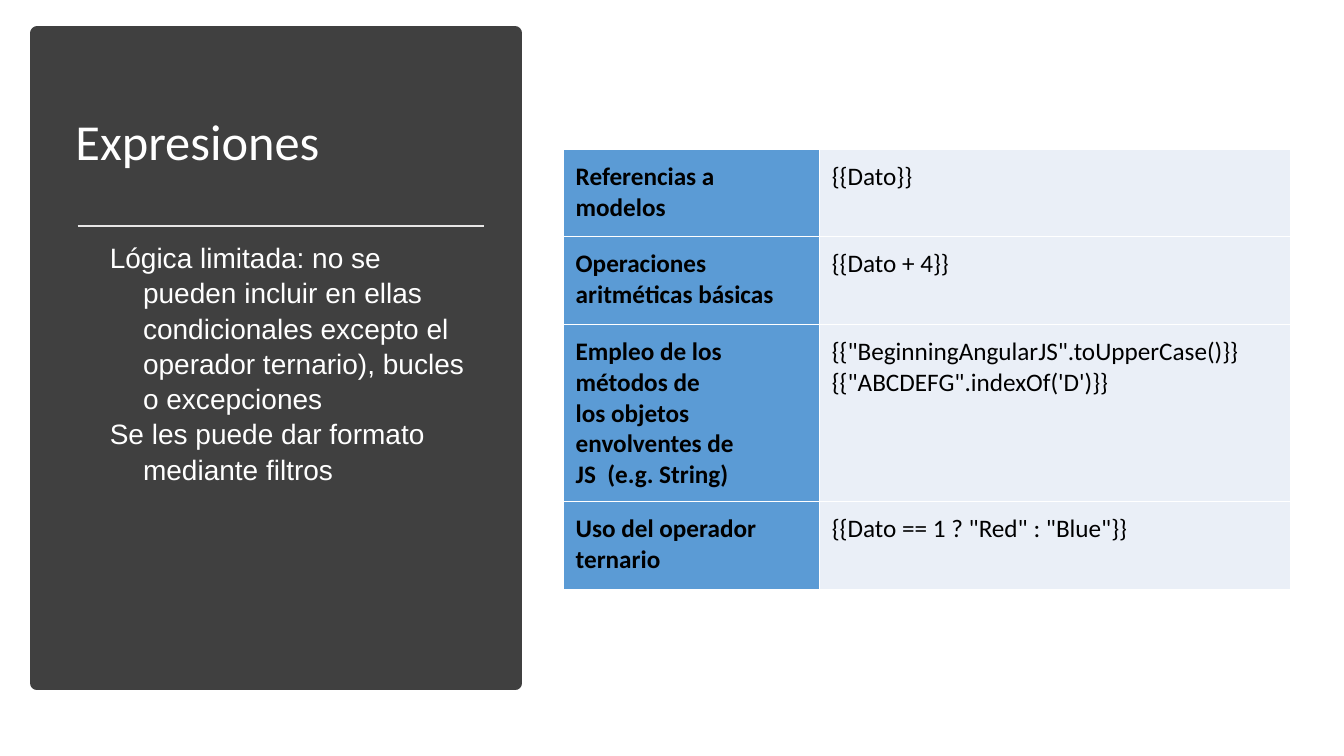
from lxml import etree
from pptx import Presentation
from pptx.dml.color import RGBColor
from pptx.enum.shapes import MSO_CONNECTOR, MSO_SHAPE
from pptx.enum.text import MSO_ANCHOR
from pptx.oxml.ns import qn
from pptx.util import Inches, Pt

RECTANGLE = MSO_SHAPE.RECTANGLE
STRAIGHT = MSO_CONNECTOR.STRAIGHT
TOP, MIDDLE = MSO_ANCHOR.TOP, MSO_ANCHOR.MIDDLE

COLORS = {
    "panel": "404040",
    "rule": "E7E6E6",
    "white": "FFFFFF",
    "black": "000000",
    "label": "5B9BD5",
    "example": "EAEFF7",
}

TITLE = "Expresiones"
POINTS = [
    "Lógica limitada: no se pueden incluir en ellas condicionales excepto "
    "el operador ternario), bucles o excepciones",
    "Se les puede dar formato mediante filtros",
]
EXPRESSIONS = [
    ("Referencias a modelos", "{{Dato}}"),
    ("Operaciones\naritméticas básicas", "{{Dato + 4}}"),
    ("Empleo de los métodos de\nlos objetos envolventes de\nJS  (e.g. String)",
     "{{\"BeginningAngularJS\".toUpperCase()}}\n{{\"ABCDEFG\".indexOf('D')}}"),
    ("Uso del operador ternario", '{{Dato == 1 ? "Red" : "Blue"}}'),
]
COLUMN_WIDTHS = [2.54, 4.67]
ROW_HEIGHTS = [0.87, 0.87, 1.76, 0.87]
CELL_MARGIN = 0.12


def color(name):
    return RGBColor.from_string(COLORS[name])


def set_font(paragraph, name, size, color_name, bold=False):
    font = paragraph.font
    font.name, font.size, font.bold = name, Pt(size), bold
    font.color.rgb = color(color_name)


def add_text_frame(slide, left, top, width, height, anchor):
    box = slide.shapes.add_textbox(Inches(left), Inches(top), Inches(width), Inches(height))
    frame = box.text_frame
    frame.word_wrap = True
    frame.vertical_anchor = anchor
    return frame


def add_rule(slide, left, top, width):
    rule = slide.shapes.add_connector(
        STRAIGHT, Inches(left), Inches(top), Inches(left + width), Inches(top))
    rule.line.color.rgb = color("rule")
    rule.line.width = Pt(1.75)
    etree.SubElement(rule._element.spPr, qn("a:effectLst"))


def add_side_panel(slide, left, top, width, height):
    """Dark panel with the title, a rule and the key points."""
    panel = slide.shapes.add_shape(
        RECTANGLE, Inches(left), Inches(top), Inches(width), Inches(height))
    panel.shadow.inherit = False
    panel.fill.solid()
    panel.fill.fore_color.rgb = color("panel")
    panel.line.color.rgb = color("panel")
    panel.line.width = Pt(10)

    text_left, text_width = left + 0.28, width - 0.56
    title = add_text_frame(slide, text_left, top + 0.37, text_width, 1.47, MIDDLE).paragraphs[0]
    title.text = TITLE
    title.line_spacing = 0.9
    set_font(title, "Calibri", 36, "white")

    add_rule(slide, left + 0.4, top + 1.91, 4.03)

    frame = add_text_frame(slide, text_left, top + 1.99, text_width, 4.13, TOP)
    for index, point in enumerate(POINTS):
        paragraph = frame.paragraphs[0] if index == 0 else frame.add_paragraph()
        paragraph.text = point
        paragraph.line_spacing = 1.05
        properties = paragraph._p.get_or_add_pPr()
        properties.set("marL", str(Inches(0.67)))
        properties.set("indent", str(Inches(-0.33)))
        set_font(paragraph, "Arial", 20, "white")


def add_cell_borders(cell):
    properties = cell._tc.get_or_add_tcPr()
    for index, side in enumerate(("lnL", "lnR", "lnT", "lnB")):
        border = etree.Element(qn(f"a:{side}"), w=str(Pt(1)))
        fill = etree.SubElement(border, qn("a:solidFill"))
        etree.SubElement(fill, qn("a:srgbClr"), val=COLORS["white"])
        properties.insert(index, border)


def fill_cell(cell, text, fill_name, bold):
    cell.margin_left = cell.margin_right = Inches(CELL_MARGIN)
    cell.margin_top = cell.margin_bottom = Inches(CELL_MARGIN)
    cell.fill.solid()
    cell.fill.fore_color.rgb = color(fill_name)
    paragraph = cell.text_frame.paragraphs[0]
    paragraph.text = text
    set_font(paragraph, "Calibri", 18, "black", bold)
    add_cell_borders(cell)


def add_expression_table(slide, left, top):
    table = slide.shapes.add_table(
        len(ROW_HEIGHTS), len(COLUMN_WIDTHS), Inches(left), Inches(top),
        Inches(sum(COLUMN_WIDTHS)), Inches(sum(ROW_HEIGHTS))).table
    table.first_row = table.horz_banding = False
    table.first_col = True
    for column, width in zip(table.columns, COLUMN_WIDTHS):
        column.width = Inches(width)
    for row, height, (label, example) in zip(table.rows, ROW_HEIGHTS, EXPRESSIONS):
        row.height = Inches(height)
        fill_cell(row.cells[0], label, "label", True)
        fill_cell(row.cells[1], example, "example", False)


def main():
    presentation = Presentation()
    presentation.slide_width = Inches(13.33)
    presentation.slide_height = Inches(7.5)
    slide = presentation.slides.add_slide(presentation.slide_layouts[6])
    add_side_panel(slide, 0.37, 0.33, 4.74, 6.45)
    add_expression_table(slide, 5.59, 1.48)
    presentation.save("out.pptx")


if __name__ == "__main__":
    main()
